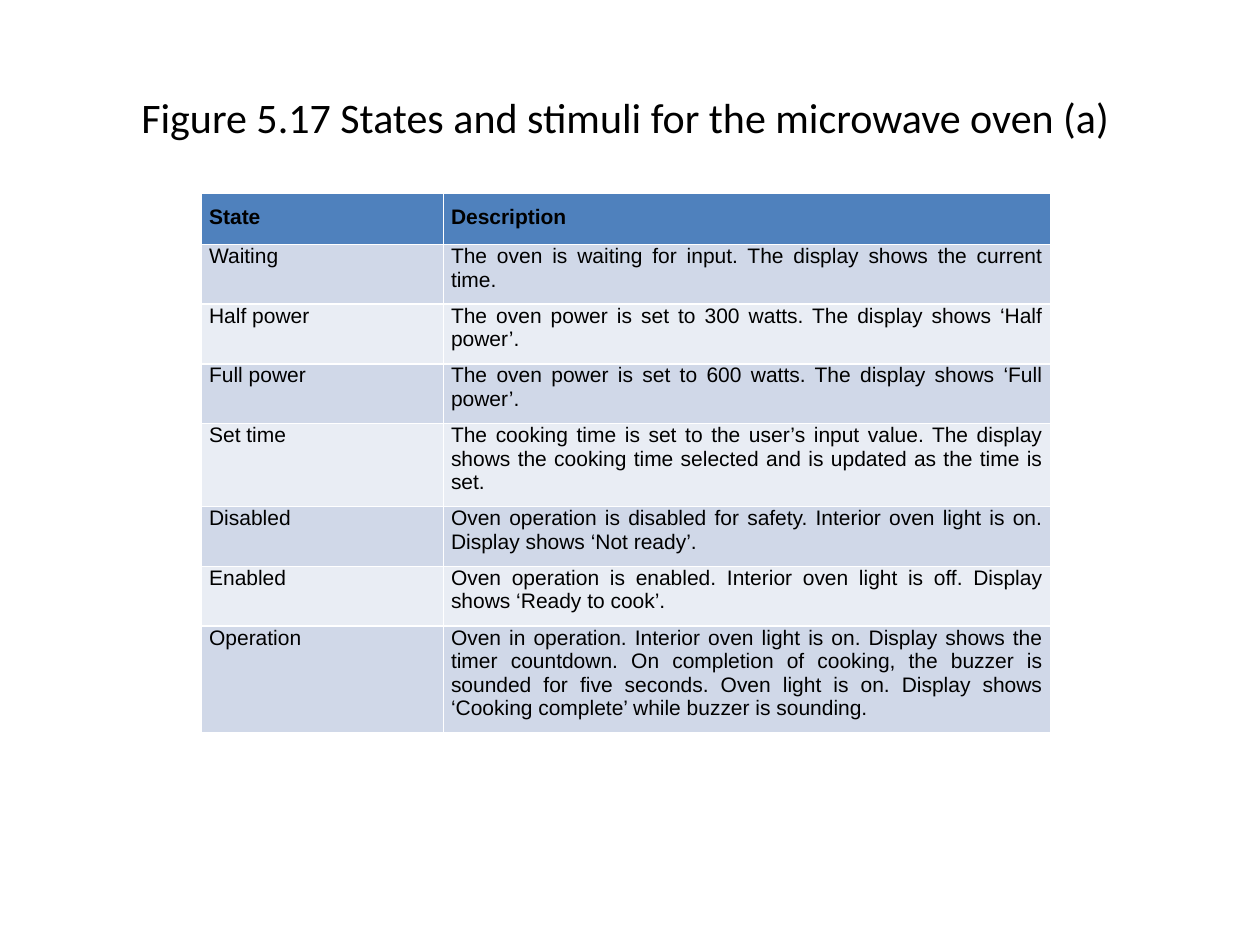
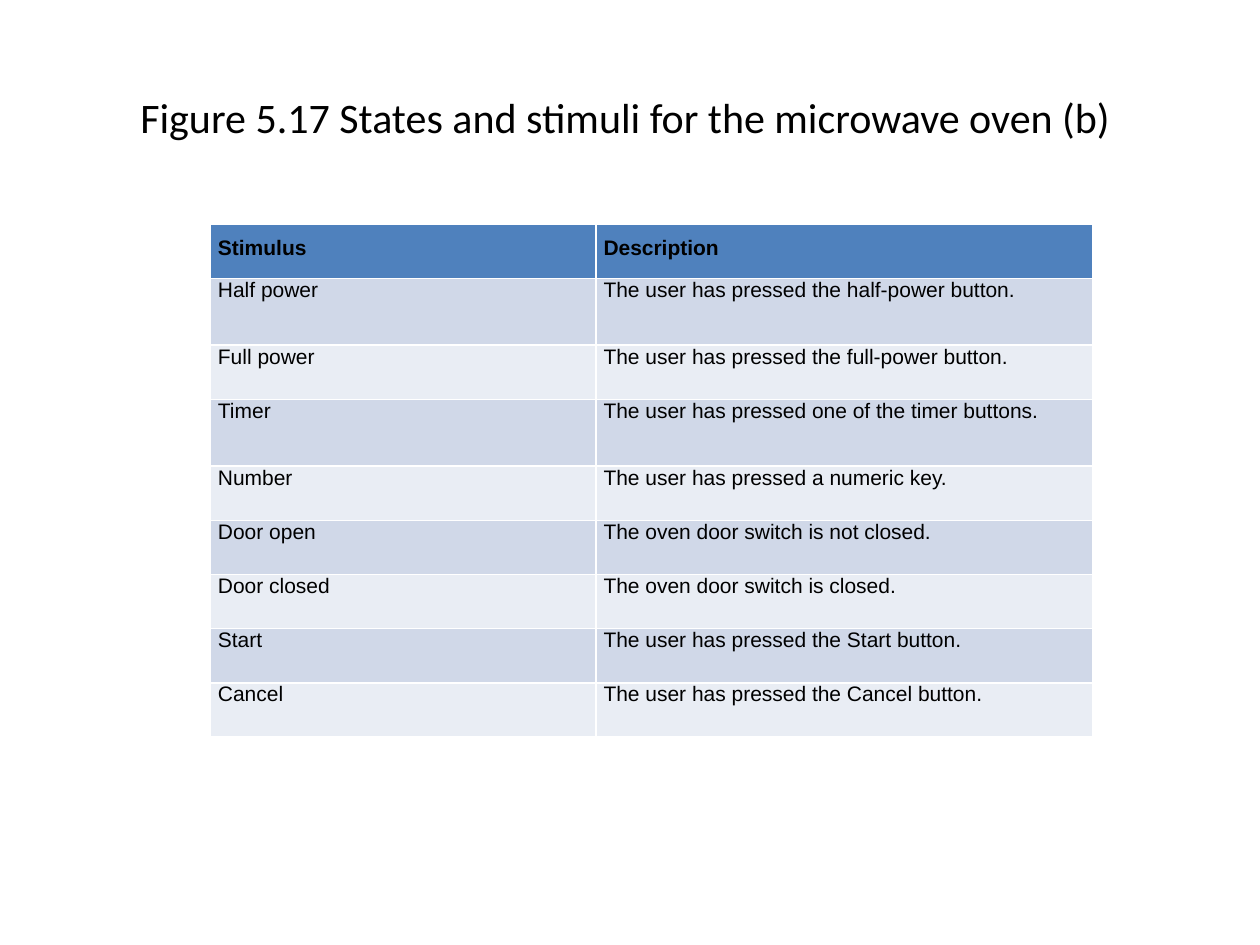
from pptx import Presentation
from pptx.dml.color import RGBColor
from pptx.enum.text import MSO_ANCHOR, PP_ALIGN
from pptx.util import Inches, Pt

BLACK = RGBColor(0x00, 0x00, 0x00)
HEADER_BLUE = RGBColor(0x4F, 0x81, 0xBD)
BANDS = (RGBColor(0xD0, 0xD8, 0xE8), RGBColor(0xE9, 0xED, 0xF4))

SLIDE_WIDTH, SLIDE_HEIGHT = 10, 7.5
TITLE_AREA = (0.05, 0.04, 0.9, 1 / 6)

STATES = [
    ("State", "Description"),
    ("Waiting", "The oven is waiting for input. The display shows the current time."),
    ("Half power", "The oven power is set to 300 watts. The display shows ‘Half power’."),
    ("Full power", "The oven power is set to 600 watts. The display shows ‘Full power’."),
    ("Set time", "The cooking time is set to the user’s input value. The display shows "
                 "the cooking time selected and is updated as the time is set."),
    ("Disabled", "Oven operation is disabled for safety. Interior oven light is on. "
                 "Display shows ‘Not ready’."),
    ("Enabled", "Oven operation is enabled. Interior oven light is off. "
                "Display shows ‘Ready to cook’."),
    ("Operation", "Oven in operation. Interior oven light is on. Display shows the timer "
                  "countdown. On completion of cooking, the buzzer is sounded for five "
                  "seconds. Oven light is on. Display shows ‘Cooking complete’ while "
                  "buzzer is sounding."),
]

STIMULI = [
    ("Stimulus", "Description"),
    ("Half power", "The user has pressed the half-power button."),
    ("Full power", "The user has pressed the full-power button."),
    ("Timer", "The user has pressed one of the timer buttons."),
    ("Number", "The user has pressed a numeric key."),
    ("Door open", "The oven door switch is not closed."),
    ("Door closed", "The oven door switch is closed."),
    ("Start", "The user has pressed the Start button."),
    ("Cancel", "The user has pressed the Cancel button."),
]

FIGURES = [
    {"part": "a", "rows": STATES, "corner": (1.6, 1.53), "columns": (1.92, 4.82),
     "row_height": 0.41, "tall_rows": {}, "height": 4.51},
    {"part": "b", "rows": STIMULI, "corner": (1.67, 1.78), "columns": (3.06, 3.94),
     "row_height": 0.43, "tall_rows": {1: 0.53, 3: 0.53}, "height": 4.08},
]


def format_text(frame, font_name, size, alignment, bold=False):
    for para in frame.paragraphs:
        para.alignment = alignment
        for span in para.runs:
            span.font.name = font_name
            span.font.size = Pt(size)
            span.font.bold = bold
            span.font.color.rgb = BLACK


def add_title(page, part):
    title = page.shapes.title
    left, top, width, height = TITLE_AREA
    title.left, title.width = Inches(left * SLIDE_WIDTH), Inches(width * SLIDE_WIDTH)
    title.top, title.height = Inches(top * SLIDE_HEIGHT), Inches(height * SLIDE_HEIGHT)
    title.text_frame.text = f"Figure 5.17 States and stimuli for the microwave oven ({part}) "
    title.text_frame.vertical_anchor = MSO_ANCHOR.MIDDLE
    format_text(title.text_frame, "Calibri", 24, PP_ALIGN.CENTER)


def fill_cell(cell, text, row_index):
    is_header = row_index == 0
    cell.text_frame.text = text
    cell.margin_left = cell.margin_right = Inches(0.06)
    cell.margin_top = Inches(0.1 if is_header else 0)
    cell.margin_bottom = Inches(0.1)
    cell.vertical_anchor = MSO_ANCHOR.TOP
    cell.fill.solid()
    cell.fill.fore_color.rgb = HEADER_BLUE if is_header else BANDS[(row_index - 1) % 2]
    format_text(cell.text_frame, "Arial", 12, PP_ALIGN.JUSTIFY, is_header)


def add_figure_table(page, figure):
    rows, columns = figure["rows"], figure["columns"]
    left, top = figure["corner"]
    frame = page.shapes.add_table(len(rows), len(columns), Inches(left), Inches(top),
                                  Inches(sum(columns)), Inches(figure["height"]))
    table = frame.table
    for column, width in zip(table.columns, columns):
        column.width = Inches(width)
    for row_index, texts in enumerate(rows):
        height = figure["tall_rows"].get(row_index, figure["row_height"])
        table.rows[row_index].height = Inches(height)
        for column_index, text in enumerate(texts):
            fill_cell(table.cell(row_index, column_index), text, row_index)
    frame.height = Inches(figure["height"])


def main():
    deck = Presentation()
    deck.slide_width, deck.slide_height = Inches(SLIDE_WIDTH), Inches(SLIDE_HEIGHT)
    for figure in FIGURES:
        page = deck.slides.add_slide(deck.slide_layouts[5])
        add_title(page, figure["part"])
        add_figure_table(page, figure)
    deck.save("out.pptx")


if __name__ == "__main__":
    main()
